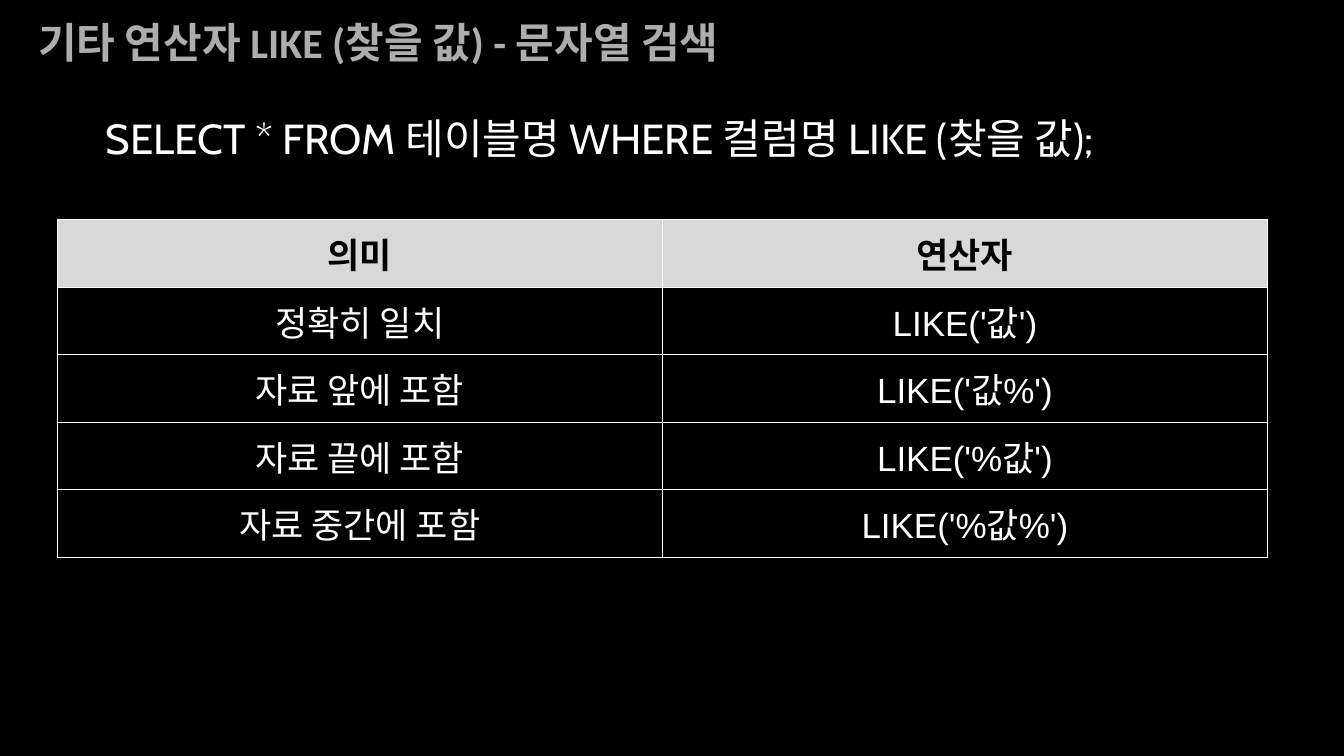
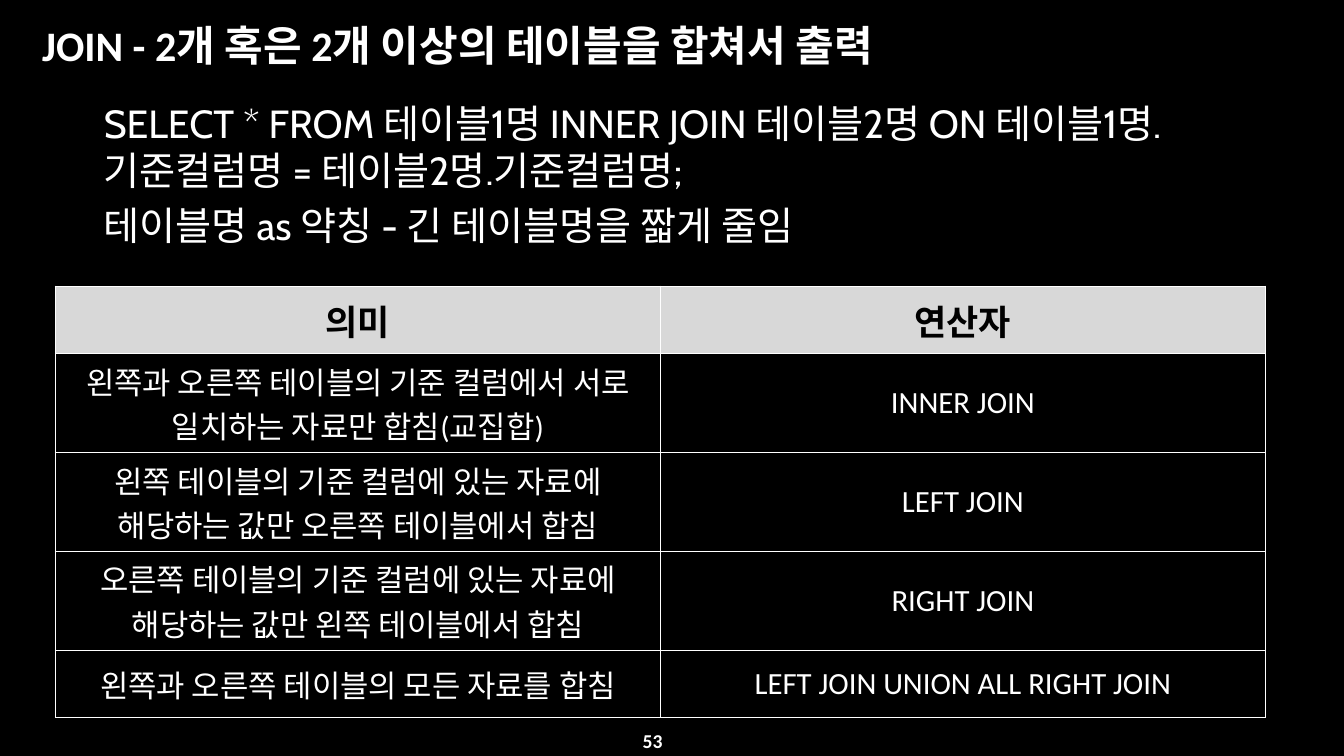
from dataclasses import dataclass

from lxml.etree import SubElement
from pptx import Presentation
from pptx.dml.color import RGBColor
from pptx.enum.text import MSO_ANCHOR, PP_ALIGN
from pptx.oxml.ns import qn
from pptx.util import Inches, Pt


@dataclass(frozen=True)
class Theme:
    black: str = "000000"
    white: str = "FFFFFF"
    muted: str = "ADADAD"
    header_fill: str = "D8D8D8"
    title_font: str = "Calibri"
    syntax_font: str = "Cabin"
    header_font: str = "Arial"
    title_size: int = 30
    header_size: int = 25
    number_size: int = 14
    border: int = 1


THEME = Theme()
SLIDE_W, SLIDE_H = 13.33, 7.5
CONTENT_W = 12      # shared by title, syntax and table
ROW_H = 0.67        # one-line table row
TALL_ROW_H = 0.98   # two-line table row
SYNTAX_INDENT = 0.48
HEADER = ("의미", "연산자")

# Content: places are (left, top, height) in inches
SLIDES = [
    {
        "title": "기타 연산자 LIKE (찾을 값) - 문자열 검색",
        "title_at": (0.28, 0, 0.82),
        "title_color": THEME.muted,
        "syntax": ["SELECT * FROM 테이블명 WHERE 컬럼명 LIKE (찾을 값);"],
        "syntax_at": (0.57, 1.12, 0.63),
        "syntax_size": 30,
        "syntax_spacing": 0.9,
        "table_at": (0.57, 2.18),
        "table_font": ("Arial", 25),
        "rows": [
            ("정확히 일치", "LIKE('값')"),
            ("자료 앞에 포함", "LIKE('값%')"),
            ("자료 끝에 포함", "LIKE('%값')"),
            ("자료 중간에 포함", "LIKE('%값%')"),
        ],
        "tall_rows": (),
        "number": None,
    },
    {
        "title": "JOIN - 2개 혹은 2개 이상의 테이블을 합쳐서 출력",
        "title_at": (0.32, 0, 0.89),
        "title_color": THEME.white,
        "syntax": [
            "SELECT * FROM 테이블1명 INNER JOIN 테이블2명 ON "
            "테이블1명.기준컬럼명 = 테이블2명.기준컬럼명;",
            "테이블명 as 약칭 - 긴 테이블명을 짧게 줄임",
        ],
        "syntax_at": (0.55, 0.94, 1.8),
        "syntax_size": 28,
        "syntax_spacing": 1.0,
        "table_at": (0.55, 2.84),
        "table_font": ("Calibri", 22),
        "rows": [
            ("왼쪽과 오른쪽 테이블의 기준 컬럼에서 서로 일치하는 자료만 합침(교집합)",
             "INNER JOIN"),
            ("왼쪽 테이블의 기준 컬럼에 있는 자료에 해당하는 값만 오른쪽 테이블에서 합침",
             "LEFT JOIN"),
            ("오른쪽 테이블의 기준 컬럼에 있는 자료에 해당하는 값만 왼쪽 테이블에서 합침",
             "RIGHT JOIN"),
            ("왼쪽과 오른쪽 테이블의 모든 자료를 합침",
             "LEFT JOIN UNION ALL RIGHT JOIN"),
        ],
        "tall_rows": (1, 2, 3),
        "number": "53",
    },
]


def style(paragraph, font, size, color, bold=False, align=PP_ALIGN.LEFT):
    paragraph.alignment = align
    for run in paragraph.runs:
        run.font.name, run.font.size, run.font.bold = font, Pt(size), bold
        run.font.color.rgb = RGBColor.from_string(color)


def add_text(slide, place, width, lines, anchor=MSO_ANCHOR.MIDDLE, **look):
    left, top, height = place
    box = slide.shapes.add_textbox(*map(Inches, (left, top, width, height)))
    frame = box.text_frame
    frame.word_wrap = True
    frame.vertical_anchor = anchor
    frame.text = "\n".join(lines)
    for paragraph in frame.paragraphs:
        style(paragraph, **look)
    return frame


def add_syntax(slide, content):
    frame = add_text(slide, content["syntax_at"], CONTENT_W, content["syntax"],
                     MSO_ANCHOR.TOP, font=THEME.syntax_font,
                     size=content["syntax_size"], color=THEME.white)
    frame.margin_left = Inches(SYNTAX_INDENT)
    for index, paragraph in enumerate(frame.paragraphs):
        paragraph.line_spacing = content["syntax_spacing"]
        if index:
            paragraph.space_before = Pt(5.6)


def add_borders(cell):
    properties = cell._tc.get_or_add_tcPr()
    for index, side in enumerate(("lnL", "lnR", "lnT", "lnB")):
        line = SubElement(properties, qn(f"a:{side}"), w=str(Pt(THEME.border)))
        fill = SubElement(line, qn("a:solidFill"))
        SubElement(fill, qn("a:srgbClr"), val=THEME.white)
        properties.insert(index, line)  # borders come before the fill


def add_operator_table(slide, content):
    rows = [HEADER, *content["rows"]]
    heights = [TALL_ROW_H if r in content["tall_rows"] else ROW_H
               for r in range(len(rows))]
    left, top = content["table_at"]
    table = slide.shapes.add_table(
        len(rows), len(HEADER),
        *map(Inches, (left, top, CONTENT_W, sum(heights)))).table
    table.horz_banding = False
    for column in table.columns:
        column.width = Inches(CONTENT_W / len(HEADER))
    body_font, body_size = content["table_font"]
    for r, texts in enumerate(rows):
        table.rows[r].height = Inches(heights[r])
        for c, text in enumerate(texts):
            cell = table.cell(r, c)
            cell.text_frame.text = text
            cell.vertical_anchor = MSO_ANCHOR.MIDDLE
            if r == 0:
                cell.fill.solid()
                cell.fill.fore_color.rgb = RGBColor.from_string(THEME.header_fill)
                look = (THEME.header_font, THEME.header_size, THEME.black, True)
            else:
                cell.fill.background()
                look = (body_font, body_size, THEME.white, False)
            style(cell.text_frame.paragraphs[0], *look, align=PP_ALIGN.CENTER)
            add_borders(cell)


def add_slide(deck, content):
    slide = deck.slides.add_slide(deck.slide_layouts[6])
    # Title
    add_text(slide, content["title_at"], CONTENT_W, [content["title"]],
             font=THEME.title_font, size=THEME.title_size,
             color=content["title_color"], bold=True)
    # Syntax and operators
    add_syntax(slide, content)
    add_operator_table(slide, content)
    # Page number
    if content["number"]:
        frame = add_text(slide, (6, 7.2, 0.3), 0.67, [content["number"]],
                         font=THEME.title_font, size=THEME.number_size,
                         color=THEME.white, bold=True, align=PP_ALIGN.RIGHT)
        frame.margin_top = frame.margin_bottom = 0


def main():
    deck = Presentation()
    deck.slide_width, deck.slide_height = Inches(SLIDE_W), Inches(SLIDE_H)
    # Shared background
    background = deck.slide_master.background.fill
    background.solid()
    background.fore_color.rgb = RGBColor.from_string(THEME.black)
    for content in SLIDES:
        add_slide(deck, content)
    deck.save("out.pptx")


if __name__ == "__main__":
    main()
